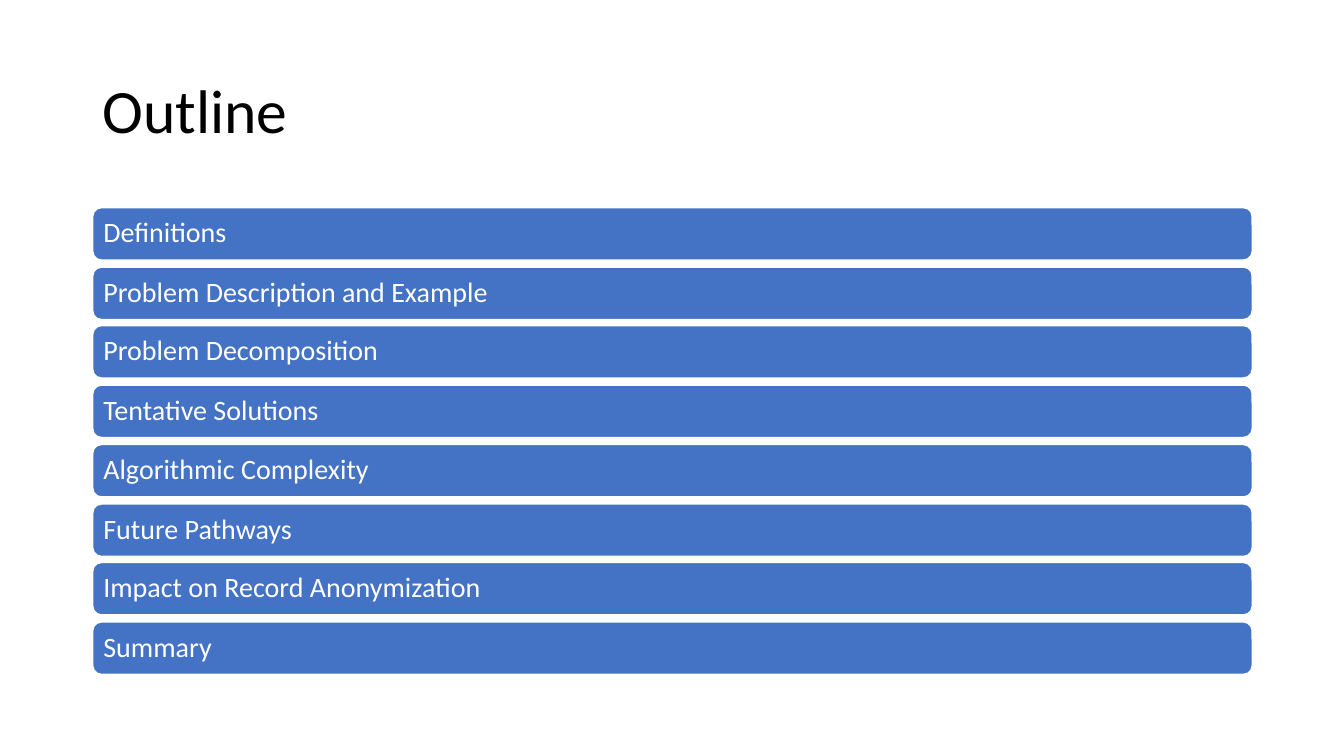
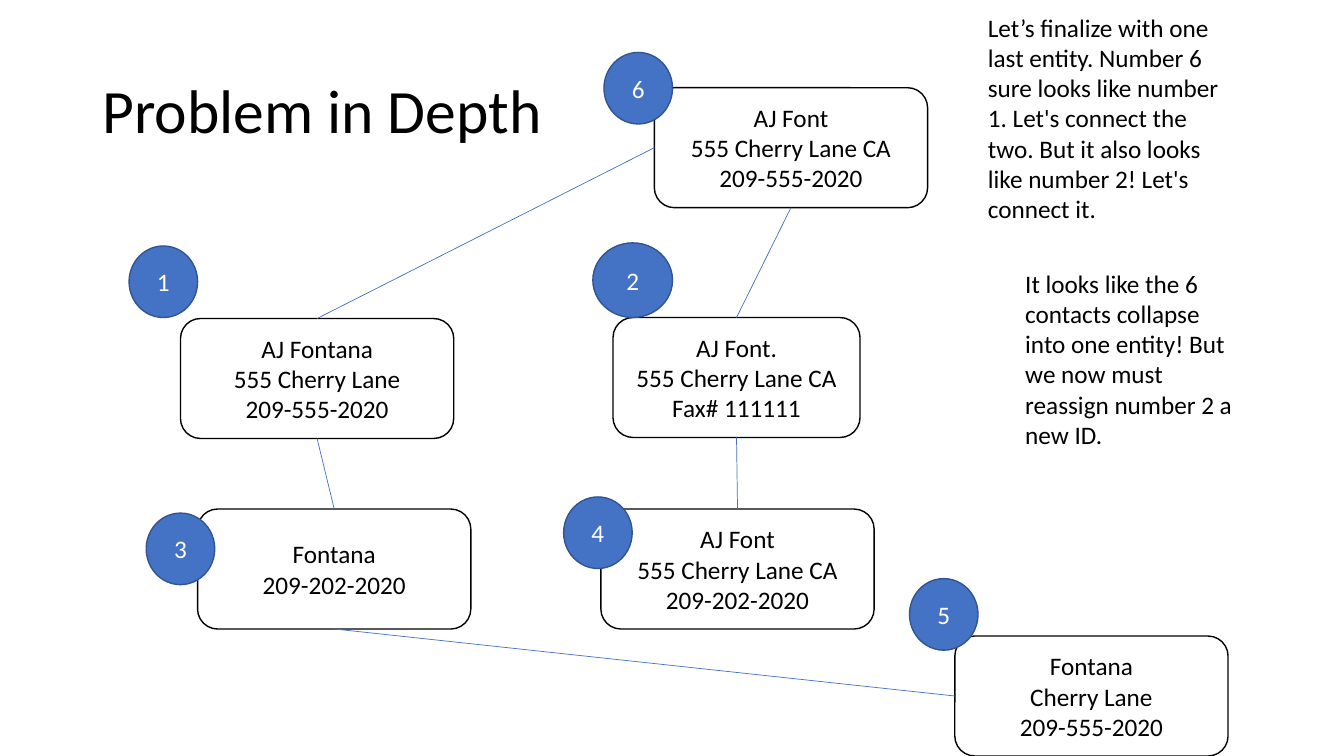
from dataclasses import dataclass
from typing import NamedTuple

import lxml.etree
import pptx
import pptx.dml.color
import pptx.enum.shapes
import pptx.enum.text
import pptx.oxml.ns
import pptx.shapes.autoshape
import pptx.shapes.connector
import pptx.slide
import pptx.util

EMU_PER_PX = 9144  # 100 px to the inch

SHAPE = pptx.enum.shapes.MSO_SHAPE
ALIGN = pptx.enum.text.PP_ALIGN
ANCHOR = pptx.enum.text.MSO_ANCHOR
AUTO_SIZE = pptx.enum.text.MSO_AUTO_SIZE


@dataclass(frozen=True)
class Theme:
    font: str = "Calibri"
    blue: str = "4472C4"
    dark_blue: str = "325491"
    white: str = "FFFFFF"
    black: str = "000000"
    title_size: int = 44
    outline_size: int = 20
    body_size: int = 18
    outline_width: float = 1
    link_width: float = 0.5


THEME = Theme()


class Rect(NamedTuple):
    left: int
    top: int
    width: int
    height: int


class TextStyle(NamedTuple):
    size: int
    color: str
    align: ALIGN = ALIGN.LEFT
    anchor: ANCHOR = ANCHOR.MIDDLE
    line_spacing: float = 1.0


class Contact(NamedTuple):
    number: int
    box: Rect
    badge: Rect
    lines: list[str]


class Link(NamedTuple):
    start: int
    start_site: int
    end: int
    end_site: int


class Note(NamedTuple):
    rect: Rect
    text: str


TOP, LEFT, BOTTOM = 0, 1, 2  # connection sites of a rounded rectangle

TITLE_RECT = Rect(92, 40, 1150, 145)
TITLE_STYLE = TextStyle(THEME.title_size, THEME.black, line_spacing=0.9)
BAR_STYLE = TextStyle(THEME.outline_size, THEME.white, line_spacing=0.9)
CONTACT_STYLE = TextStyle(THEME.body_size, THEME.black, ALIGN.CENTER)
BADGE_STYLE = TextStyle(THEME.body_size, THEME.white, ALIGN.CENTER)
NOTE_STYLE = TextStyle(THEME.body_size, THEME.black, anchor=ANCHOR.TOP)

FIRST_BAR = Rect(92, 206, 1150, 52)
LAST_BAR_TOP = 617
BAR_INSET = 8

TOPICS = [
    "Definitions",
    "Problem Description and Example",
    "Problem Decomposition",
    "Tentative Solutions",
    "Algorithmic Complexity",
    "Future Pathways",
    "Impact on Record Anonymization",
    "Summary",
]

CONTACTS = [
    Contact(1, Rect(179, 316, 271, 119), Rect(128, 244, 68, 71),
            ["AJ Fontana", "555 Cherry Lane", "209-555-2020"]),
    Contact(2, Rect(608, 315, 245, 119), Rect(588, 241, 79, 74),
            ["AJ Font.", "555 Cherry Lane CA", "Fax# 111111"]),
    Contact(3, Rect(196, 505, 271, 119), Rect(145, 509, 68, 71),
            ["Fontana", "209-202-2020"]),
    Contact(4, Rect(596, 505, 271, 119), Rect(559, 493, 68, 71),
            ["AJ Font", "555 Cherry Lane CA", "209-202-2020"]),
    Contact(5, Rect(947, 631, 271, 119), Rect(902, 574, 68, 71),
            ["Fontana", "Cherry Lane", "209-555-2020"]),
    Contact(6, Rect(649, 87, 271, 119), Rect(599, 52, 68, 71),
            ["AJ Font", "555 Cherry Lane CA", "209-555-2020"]),
]

LINKS = [
    Link(3, BOTTOM, 5, LEFT),
    Link(1, BOTTOM, 3, TOP),
    Link(2, BOTTOM, 4, TOP),
    Link(6, LEFT, 1, TOP),
    Link(6, BOTTOM, 2, TOP),
]

NOTES = [
    Note(Rect(970, 7, 263, 222),
         "Let’s finalize with one last entity. Number 6 sure looks like number 1. "
         "Let's connect the two. But it also looks like number 2! Let's connect it."),
    Note(Rect(1007, 261, 235, 192),
         "It looks like the 6 contacts collapse into one entity! "
         "But we now must reassign number 2 a new ID."),
]


def px(length: int) -> pptx.util.Emu:
    return pptx.util.Emu(length * EMU_PER_PX)


def emu_rect(rect: Rect) -> list[pptx.util.Emu]:
    return [px(length) for length in rect]


def rgb(color: str) -> pptx.dml.color.RGBColor:
    return pptx.dml.color.RGBColor.from_string(color)


def write_text(shape: pptx.shapes.autoshape.Shape, lines: list[str], style: TextStyle) -> None:
    frame = shape.text_frame
    frame.word_wrap = True
    frame.vertical_anchor = style.anchor
    frame.text = "\n".join(lines)
    for para in frame.paragraphs:
        para.alignment = style.align
        para.line_spacing = style.line_spacing
        para.font.name = THEME.font
        para.font.size = pptx.util.Pt(style.size)
        para.font.color.rgb = rgb(style.color)


def add_text_box(slide: pptx.slide.Slide, rect: Rect, text: str,
                 style: TextStyle) -> pptx.shapes.autoshape.Shape:
    box = slide.shapes.add_textbox(*emu_rect(rect))
    write_text(box, [text], style)
    return box


def add_filled_shape(slide: pptx.slide.Slide, preset: SHAPE, rect: Rect, fill: str, outline: str,
                     lines: list[str], style: TextStyle) -> pptx.shapes.autoshape.Shape:
    shape = slide.shapes.add_shape(preset, *emu_rect(rect))
    shape.shadow.inherit = False
    shape.fill.solid()
    shape.fill.fore_color.rgb = rgb(fill)
    shape.line.color.rgb = rgb(outline)
    shape.line.width = pptx.util.Pt(THEME.outline_width)
    write_text(shape, lines, style)
    return shape


def add_bar(slide: pptx.slide.Slide, rect: Rect, topic: str) -> None:
    bar = add_filled_shape(slide, SHAPE.ROUNDED_RECTANGLE, rect, THEME.blue, THEME.white,
                           [topic], BAR_STYLE)
    frame = bar.text_frame
    frame.margin_left = frame.margin_right = px(BAR_INSET)
    frame.margin_top = frame.margin_bottom = px(BAR_INSET)


def add_contact(slide: pptx.slide.Slide, contact: Contact) -> pptx.shapes.autoshape.Shape:
    """Draw a contact with its number badge and return the box that links attach to."""
    box = add_filled_shape(slide, SHAPE.ROUNDED_RECTANGLE, contact.box, THEME.white, THEME.black,
                           contact.lines, CONTACT_STYLE)
    add_filled_shape(slide, SHAPE.OVAL, contact.badge, THEME.blue, THEME.dark_blue,
                     [str(contact.number)], BADGE_STYLE)
    return box


def add_link(slide: pptx.slide.Slide, link: Link,
             boxes: dict[int, pptx.shapes.autoshape.Shape]) -> None:
    connector = slide.shapes.add_connector(
        pptx.enum.shapes.MSO_CONNECTOR.STRAIGHT, px(0), px(0), px(0), px(0))
    connector.begin_connect(boxes[link.start], link.start_site)
    connector.end_connect(boxes[link.end], link.end_site)
    connector.line.color.rgb = rgb(THEME.blue)
    connector.line.width = pptx.util.Pt(THEME.link_width)
    lxml.etree.SubElement(connector._element.spPr, pptx.oxml.ns.qn("a:effectLst"))


def add_titled_slide(deck: pptx.presentation.Presentation, title: str) -> pptx.slide.Slide:
    slide = deck.slides.add_slide(deck.slide_layouts[6])
    add_text_box(slide, TITLE_RECT, title, TITLE_STYLE)
    return slide


def build_outline(deck: pptx.presentation.Presentation) -> None:
    slide = add_titled_slide(deck, "Outline")
    travel = LAST_BAR_TOP - FIRST_BAR.top
    for index, topic in enumerate(TOPICS):
        top = FIRST_BAR.top + round(travel * index / (len(TOPICS) - 1))
        add_bar(slide, FIRST_BAR._replace(top=top), topic)


def build_problem(deck: pptx.presentation.Presentation) -> None:
    slide = add_titled_slide(deck, "Problem in Depth")
    boxes = {contact.number: add_contact(slide, contact) for contact in CONTACTS}
    for link in LINKS:
        add_link(slide, link, boxes)
    for note in NOTES:
        box = add_text_box(slide, note.rect, note.text, NOTE_STYLE)
        box.text_frame.auto_size = AUTO_SIZE.SHAPE_TO_FIT_TEXT


def main() -> None:
    deck = pptx.Presentation()
    deck.slide_width, deck.slide_height = px(1333), px(750)
    build_outline(deck)
    build_problem(deck)
    deck.save("out.pptx")


if __name__ == "__main__":
    main()
